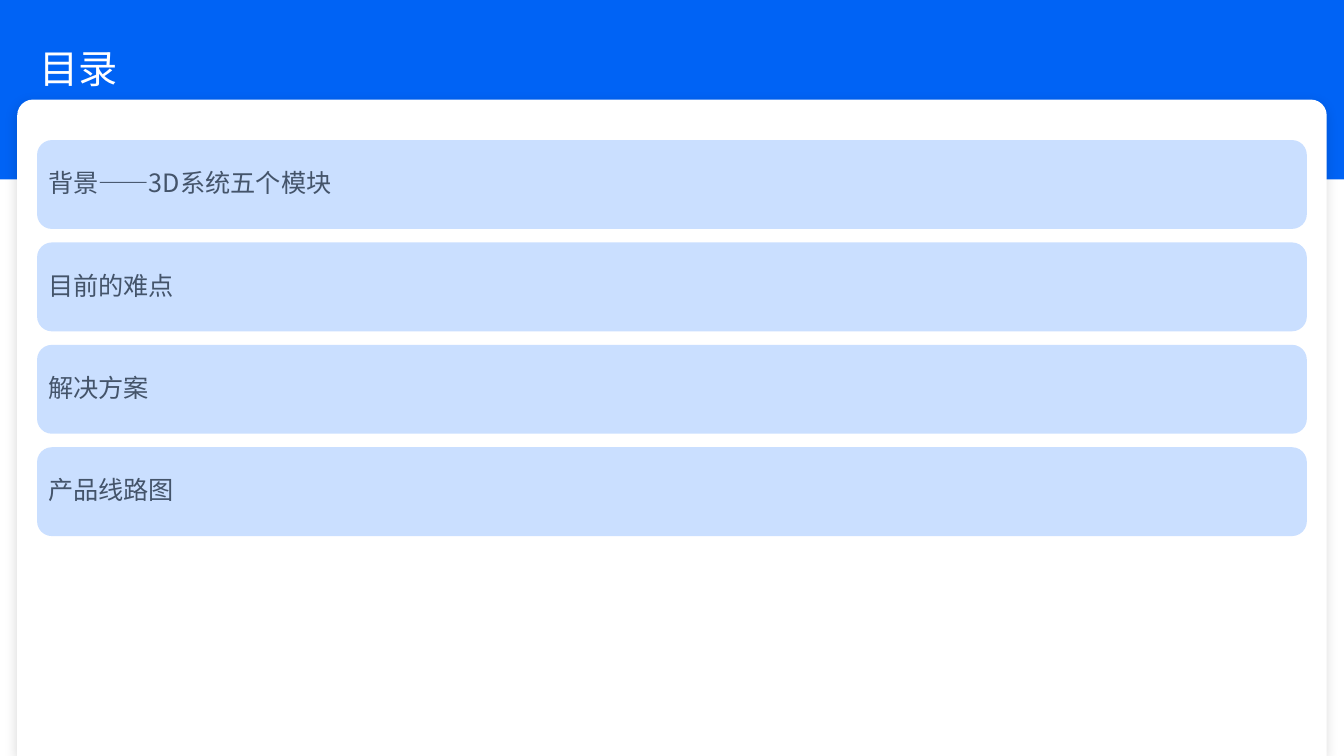
import pptx
import pptx.dml.color
import pptx.enum.shapes
import pptx.enum.text
import pptx.oxml
import pptx.oxml.ns
import pptx.util

TITLE = "目录"
TOPICS = ["背景——3D系统五个模块", "目前的难点", "解决方案", "产品线路图"]

THEME = {
    "font": "Noto Sans CJK SC",
    "blue": "0063F5",
    "white": "FFFFFF",
    "pale": "CADFFF",
    "slate": "44546A",
    "title_size": 28,
    "topic_size": 18,
}

SLIDE_WIDTH, SLIDE_HEIGHT = 33.87, 19.05
PAGE_TOP = 4.52
CARD_TOP, CARD_WIDTH = 2.51, 33
TITLE_TOP, TITLE_HEIGHT = 0.53, 2.49
BAR_TOP, BAR_WIDTH, BAR_HEIGHT, BAR_GAP = 3.53, 32, 2.24, 0.34
TITLE_INSETS = {"left": 1, "top": 0.13, "right": 0.25, "bottom": 0.13}
BAR_INSETS = {side: 0.17 for side in ("left", "top", "right", "bottom")}

CARD_SHADOW = (
    f'<a:effectLst {pptx.oxml.ns.nsdecls("a")}>'
    '<a:outerShdw blurRad="114300" dist="38100" dir="5400000" algn="t" rotWithShape="0">'
    '<a:srgbClr val="000000"><a:alpha val="15000"/></a:srgbClr>'
    '</a:outerShdw></a:effectLst>'
)


def color(name):
    return pptx.dml.color.RGBColor.from_string(THEME[name])


def box(left, top, width, height):
    return [pptx.util.Cm(length) for length in (left, top, width, height)]


def add_panel(slide, kind, place, fill):
    shape = slide.shapes.add_shape(kind, *box(*place))
    shape.shadow.inherit = False
    shape.fill.solid()
    shape.fill.fore_color.rgb = color(fill)
    shape.line.fill.background()
    return shape


def write(shape, text, size, ink, insets):
    frame = shape.text_frame
    frame_format = {
        "word_wrap": True,
        "vertical_anchor": pptx.enum.text.MSO_ANCHOR.MIDDLE,
    }
    for side, length in insets.items():
        frame_format[f"margin_{side}"] = pptx.util.Cm(length)
    for name, value in frame_format.items():
        setattr(frame, name, value)
    paragraph = frame.paragraphs[0]
    paragraph_format = {
        "alignment": pptx.enum.text.PP_ALIGN.LEFT,
        "line_spacing": 0.9,
    }
    for name, value in paragraph_format.items():
        setattr(paragraph, name, value)
    run = paragraph.add_run()
    run.text = text
    font_format = {"name": THEME["font"], "size": pptx.util.Pt(THEME[size])}
    for name, value in font_format.items():
        setattr(run.font, name, value)
    run.font.color.rgb = color(ink)
    properties = run._r.get_or_add_rPr()
    properties.set("lang", "zh-CN")
    east_asian = pptx.oxml.parse_xml(f'<a:ea {pptx.oxml.ns.nsdecls("a")}/>')
    east_asian.set("typeface", THEME["font"])
    properties.find(pptx.oxml.ns.qn("a:latin")).addnext(east_asian)


def main():
    presentation = pptx.Presentation()
    presentation.slide_width = pptx.util.Cm(SLIDE_WIDTH)
    presentation.slide_height = pptx.util.Cm(SLIDE_HEIGHT)
    slide = presentation.slides.add_slide(presentation.slide_layouts[6])
    slide.background.fill.solid()
    slide.background.fill.fore_color.rgb = color("blue")
    kinds = pptx.enum.shapes.MSO_SHAPE

    page = (0, PAGE_TOP, SLIDE_WIDTH, SLIDE_HEIGHT - PAGE_TOP)
    add_panel(slide, kinds.RECTANGLE, page, "white")

    card_left = (SLIDE_WIDTH - CARD_WIDTH) / 2
    card_place = (card_left, CARD_TOP, CARD_WIDTH, SLIDE_HEIGHT - CARD_TOP)
    card = add_panel(slide, kinds.ROUND_2_SAME_RECTANGLE, card_place, "white")
    card.adjustments[0] = 0.024
    effects = card._element.spPr.find(pptx.oxml.ns.qn("a:effectLst"))
    effects.getparent().replace(effects, pptx.oxml.parse_xml(CARD_SHADOW))

    title = slide.shapes.add_textbox(*box(0, TITLE_TOP, SLIDE_WIDTH, TITLE_HEIGHT))
    write(title, TITLE, "title_size", "white", TITLE_INSETS)

    bar_left = (SLIDE_WIDTH - BAR_WIDTH) / 2
    for index, topic in enumerate(TOPICS):
        top = BAR_TOP + index * (BAR_HEIGHT + BAR_GAP)
        place = (bar_left, top, BAR_WIDTH, BAR_HEIGHT)
        bar = add_panel(slide, kinds.ROUNDED_RECTANGLE, place, "pale")
        write(bar, topic, "topic_size", "slate", BAR_INSETS)

    presentation.save("out.pptx")


if __name__ == "__main__":
    main()
